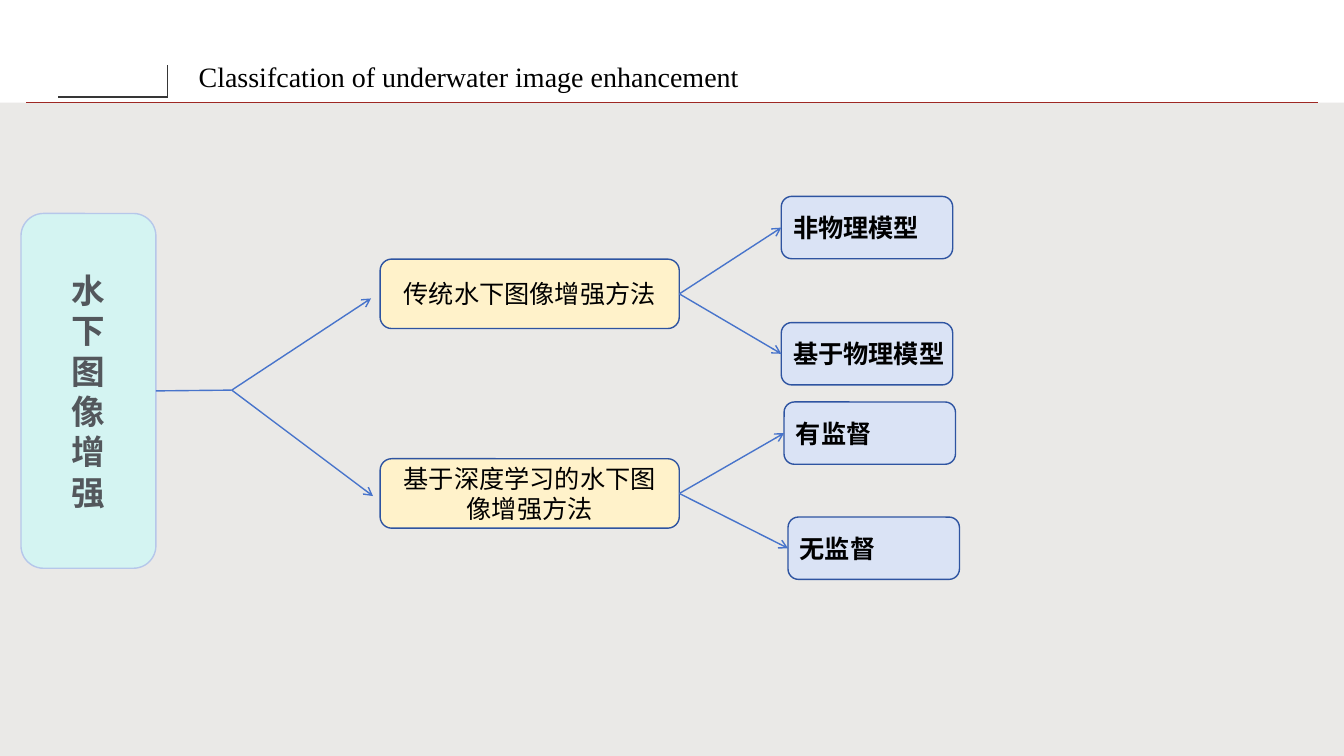
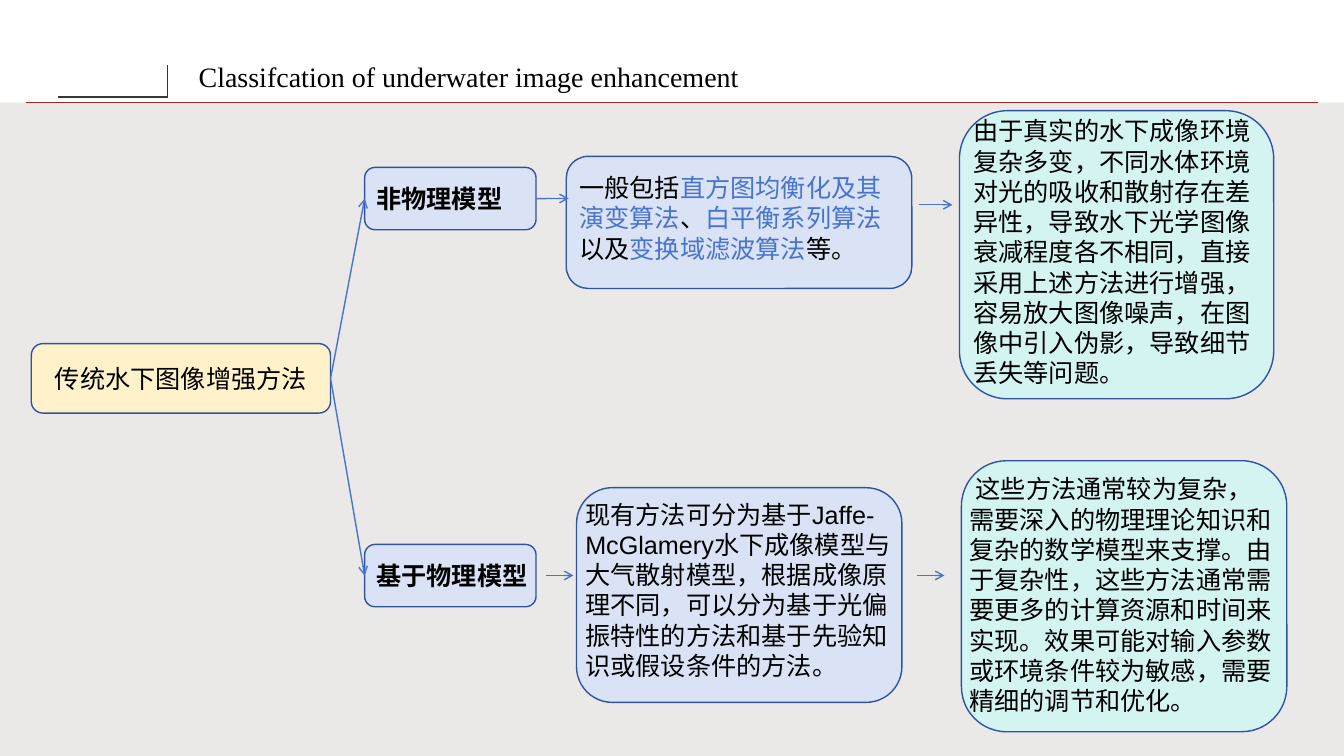
import pptx
import pptx.util
import pptx.dml.color
import pptx.enum.shapes
import pptx.enum.text
import pptx.oxml.ns
import lxml.etree

Cm = pptx.util.Cm
Pt = pptx.util.Pt
Color = pptx.dml.color.RGBColor
Shape = pptx.enum.shapes.MSO_SHAPE
Align = pptx.enum.text.PP_ALIGN
Anchor = pptx.enum.text.MSO_ANCHOR
qn = pptx.oxml.ns.qn

BLACK = Color(0x00, 0x00, 0x00)
GRAY = Color(0x53, 0x57, 0x5C)
BAND = Color(0xE9, 0xE8, 0xE6)
RED = Color(0x9E, 0x28, 0x24)
DARK = Color(0x36, 0x36, 0x36)
BLUE = Color(0x48, 0x74, 0xCB)
NAVY = Color(0x2E, 0x54, 0xA1)
PALE_BLUE = Color(0xDA, 0xE3, 0xF5)
SOFT_BLUE = Color(0xB6, 0xC7, 0xEA)
CREAM = Color(0xFF, 0xF2, 0xCA)
MINT = Color(0xD4, 0xF4, 0xF2)

CHINESE_FONT = "Noto Sans CJK SC"
WIDTH, HEIGHT = 33.87, 19.05
BAND_TOP = 2.59
TITLE = "Classifcation of underwater image enhancement"
TITLE_PLACE = (4.75, 1.37, 15.77, 1.12)

DECOR_LINES = [
    ((0.66, BAND_TOP), (33.22, BAND_TOP), RED),
    ((4.22, 1.65), (4.22, 2.46), DARK),
    ((1.47, 2.44), (4.22, 2.44), DARK),
]

STYLES = {
    "root": dict(size=(3.4, 8.94), fill=MINT, line=SOFT_BLUE, color=GRAY,
                 points=24, bold=True, align=Align.CENTER, font=CHINESE_FONT, left=0.25),
    "method": dict(size=(7.54, 1.75), fill=CREAM, line=NAVY, color=BLACK,
                   points=18, bold=False, align=Align.CENTER, font="Arial", left=0.25),
    "label": dict(size=(4.32, 1.57), fill=PALE_BLUE, line=NAVY, color=BLACK,
                  points=18, bold=True, align=Align.LEFT, font=CHINESE_FONT, left=0.22),
}

TRADITIONAL = "传统水下图像增强方法"
DEEP = "基于深度学习的水下图像增强方法"
NON_PHYSICAL = "非物理模型"
PHYSICAL = "基于物理模型"
ROOT = "水下图像增强"
FORK = (5.84, 9.83)

SLIDES = [
    {
        "boxes": [
            ("method", TRADITIONAL, (9.58, 6.53)),
            ("method", DEEP, (9.58, 11.56)),
            ("root", ROOT, (0.53, 5.38)),
            ("label", NON_PHYSICAL, (19.69, 4.95)),
            ("label", PHYSICAL, (19.69, 8.13)),
            ("label", "有监督", (19.76, 10.13)),
            ("label", "无监督", (19.86, 13.03)),
        ],
        "notes": [],
        "lines": [(ROOT, FORK)],
        "arrows": [
            (FORK, (9.35, 7.52)),
            (FORK, (9.4, 12.5)),
            (TRADITIONAL, NON_PHYSICAL),
            (TRADITIONAL, PHYSICAL),
            (DEEP, "有监督"),
            (DEEP, "无监督"),
        ],
    },
    {
        "boxes": [
            ("method", TRADITIONAL, (0.79, 8.66)),
            ("label", PHYSICAL, (9.19, 13.72)),
            ("label", NON_PHYSICAL, (9.19, 4.22)),
        ],
        "notes": [
            (PALE_BLUE, (14.53, 12.29, 8.2, 5.41), (14.5, 12.45, 8.48, 4.88), 0, [
                ("现有方法可分为基于Jaffe-McGlamery水下成像模型与大气散射模型，"
                 "根据成像原理不同，可以分为基于光偏振特性的方法和基于先验知识或假设条件的方法。", BLACK)]),
            (PALE_BLUE, (14.27, 3.94, 8.71, 3.33), (14.35, 4.22, 8.38, 2.57), 0, [
                ("一般包括", BLACK), ("直方图均衡化及其演变算法", BLUE), ("、", BLACK),
                ("白平衡系列算法", BLUE), ("以及", BLACK), ("变换域滤波算法", BLUE),
                ("等。", BLACK)]),
            (MINT, (24.18, 2.79, 7.92, 7.26), (24.28, 2.79, 8, 7.19), 0, [
                ("由于真实的水下成像环境复杂多变，不同水体环境对光的吸收和散射存在差异性，"
                 "导致水下光学图像衰减程度各不相同，直接采用上述方法进行增强，"
                 "容易放大图像噪声，在图像中引入伪影，导致细节丢失等问题。", BLACK)]),
            (MINT, (24.23, 11.61, 8.2, 6.83), (24.18, 11.81, 8.15, 6.4), 0.16, [
                ("这些方法通常较为复杂，需要深入的物理理论知识和复杂的数学模型来支撑。"
                 "由于复杂性，这些方法通常需要更多的计算资源和时间来实现。"
                 "效果可能对输入参数或环境条件较为敏感，需要精细的调节和优化。", BLACK)]),
        ],
        "lines": [],
        "arrows": [
            (TRADITIONAL, NON_PHYSICAL),
            (TRADITIONAL, PHYSICAL),
            (NON_PHYSICAL, (14.33, 5)),
            ((13.77, 14.5), (14.45, 14.5)),
            ((23.16, 5.16), (24, 5.16)),
            ((23.11, 14.5), (23.8, 14.5)),
        ],
    },
]


def add_span(para, text, font, points, color, bold=False):
    span = para.add_run()
    span.text = text
    span.font.name = font
    span.font.size = Pt(points)
    span.font.bold = bold
    span.font.color.rgb = color
    if font != "Times New Roman":
        latin = span.font._element.find(qn("a:latin"))
        east = lxml.etree.Element(qn("a:ea"), typeface=CHINESE_FONT)
        latin.addnext(east)
        para.line_spacing = Pt(points * 1.2)


def add_panel(page, kind, place, fill, line=None):
    panel = page.shapes.add_shape(kind, *map(Cm, place))
    panel.shadow.inherit = False
    panel.fill.solid()
    panel.fill.fore_color.rgb = fill
    if line is None:
        panel.line.fill.background()
    else:
        panel.line.color.rgb = line
        panel.line.width = Pt(1)
    return panel


def add_box(page, kind, text, corner):
    style = STYLES[kind]
    box = add_panel(page, Shape.ROUNDED_RECTANGLE, corner + style["size"],
                    style["fill"], style["line"])
    frame = box.text_frame
    frame.word_wrap = True
    frame.vertical_anchor = Anchor.MIDDLE
    frame.margin_left = Cm(style["left"])
    frame.margin_right = Cm(0 if kind == "label" else style["left"])
    for index, part in enumerate(text if kind == "root" else [text]):
        para = frame.add_paragraph() if index else frame.paragraphs[0]
        para.alignment = style["align"]
        add_span(para, part, style["font"], style["points"], style["color"], style["bold"])
    return box


def add_note(page, fill, panel_place, text_place, indent, parts):
    add_panel(page, Shape.ROUNDED_RECTANGLE, panel_place, fill, NAVY)
    frame = page.shapes.add_textbox(*map(Cm, text_place)).text_frame
    frame.word_wrap = True
    para = frame.paragraphs[0]
    if indent:
        para._p.get_or_add_pPr().set("indent", str(Cm(indent)))
    for text, color in parts:
        add_span(para, text, "Arial", 18, color)


def add_line(page, start, end, color=BLUE, boxes=None, arrow=False):
    start_point = (0, 0) if isinstance(start, str) else start
    end_point = (0, 0) if isinstance(end, str) else end
    line = page.shapes.add_connector(pptx.enum.shapes.MSO_CONNECTOR.STRAIGHT,
                                     *map(Cm, start_point + end_point))
    if isinstance(start, str):
        line.begin_connect(boxes[start], 3)
    if isinstance(end, str):
        line.end_connect(boxes[end], 1)
    line.line.color.rgb = color
    line.line.width = Pt(1)
    properties = line._element.spPr
    if arrow:
        outline = properties.find(qn("a:ln"))
        lxml.etree.SubElement(outline, qn("a:tailEnd"), type="arrow")
    lxml.etree.SubElement(properties, qn("a:effectLst"))
    return line


def decorate_layout(layout, page):
    band = add_panel(page, Shape.RECTANGLE, (0, BAND_TOP, WIDTH, HEIGHT - BAND_TOP), BAND)
    tint = band._element.spPr.find(qn("a:solidFill"))[0]
    lxml.etree.SubElement(tint, qn("a:alpha"), val="95000")
    parts = [band] + [add_line(page, *line) for line in DECOR_LINES]
    for index, part in enumerate(parts):
        layout.shapes.element.insert(2 + index, part.element)


def set_title(page):
    title = page.shapes.title
    title.left, title.top, title.width, title.height = map(Cm, TITLE_PLACE)
    frame = title.text_frame
    frame.word_wrap = True
    frame.auto_size = pptx.enum.text.MSO_AUTO_SIZE.NONE
    frame.vertical_anchor = Anchor.TOP
    para = frame.paragraphs[0]
    para.alignment = Align.LEFT
    add_span(para, TITLE, "Times New Roman", 20, BLACK)


def main():
    deck = pptx.Presentation()
    deck.slide_width, deck.slide_height = Cm(WIDTH), Cm(HEIGHT)
    layout = deck.slide_layouts[5]
    for number, content in enumerate(SLIDES):
        page = deck.slides.add_slide(layout)
        if number == 0:
            decorate_layout(layout, page)
        set_title(page)
        boxes = {text: add_box(page, kind, text, corner)
                 for kind, text, corner in content["boxes"]}
        for note in content["notes"]:
            add_note(page, *note)
        for start, end in content["lines"]:
            add_line(page, start, end, boxes=boxes)
        for start, end in content["arrows"]:
            add_line(page, start, end, boxes=boxes, arrow=True)
    deck.save("out.pptx")


if __name__ == "__main__":
    main()
